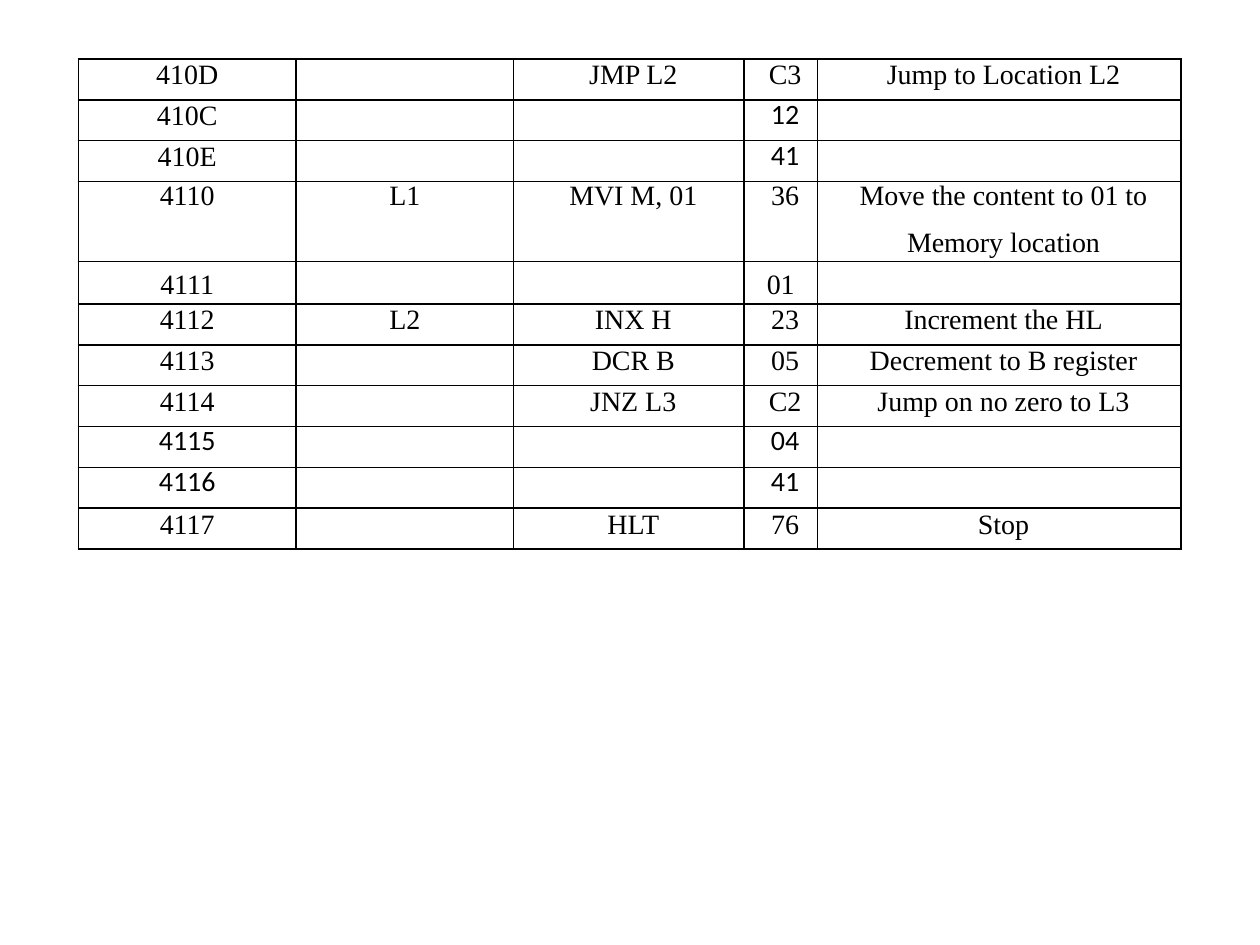
from lxml import etree
from pptx import Presentation
from pptx import util as u
from pptx.dml.color import RGBColor
from pptx.enum import text
from pptx.oxml import ns

SERIF, SANS = "Times New Roman", "Calibri"
INK = "000000"
LEFT, TOP = 44.75, 33.75
COLUMN_WIDTHS = [124.4, 124.4, 131.7, 41.8, 207.9]
ROW_HEIGHT, INDENT = 23.35, 5
INSTRUCTIONS = [
    ("410D", "", "JMP L2", "C3", "Jump to Location L2"),
    ("410C", "", "", "12", ""),
    ("410E", "", "", "41", ""),
    ("4110", "L1", "MVI M, 01", "36", "Move the content to 01 to"),
    ("", "", "", "", "Memory location"),
    ("4111", "", "", "01", ""),
    ("4112", "L2", "INX H", "23", "Increment the HL"),
    ("4113", "", "DCR B", "05", "Decrement to B register"),
    ("4114", "", "JNZ L3", "C2", "Jump on no zero to L3"),
    ("4115", "", "", "04", ""),
    ("4116", "", "", "41", ""),
    ("4117", "", "HLT", "76", "Stop"),
]
SPLIT_ROW, PLAIN_ROW = 3, 5
SPECIAL_HEIGHTS = {3: 21.6, 4: 24.2, 5: 24.2}
LINE_SPACINGS = {3: u.Pt(12.3), 4: 1.15, 5: 1.15, 6: u.Pt(13.3), 11: u.Pt(13.3)}
SANS_CELLS = {(1, 3), (2, 3), (9, 0), (9, 3), (10, 0), (10, 3)}
CELL_FORMAT = {
    "margin_left": 0, "margin_right": 0, "margin_top": 0, "margin_bottom": 0,
    "vertical_anchor": text.MSO_ANCHOR.MIDDLE,
}


def set_attributes(target, values):
    """Set every named value on the target."""
    for name, value in values.items():
        setattr(target, name, value)


def colour(code):
    """Turn a hex string into a colour."""
    return RGBColor.from_string(code)


def add_borders(cell, hidden):
    """Give a cell one-point borders, leaving out the hidden side."""
    properties = cell._tc.get_or_add_tcPr()
    for position, side in enumerate("LRTB"):
        line = etree.Element(ns.qn(f"a:ln{side}"), w=str(u.Pt(1)))
        if side == hidden:
            etree.SubElement(line, ns.qn("a:noFill"))
        else:
            fill = etree.SubElement(line, ns.qn("a:solidFill"))
            etree.SubElement(fill, ns.qn("a:srgbClr"), val=INK)
        properties.insert(position, line)


def fill_cell(cell, row, column, words):
    """Write and format one cell of the listing."""
    set_attributes(cell, CELL_FORMAT)
    cell.fill.background()
    add_borders(cell, {SPLIT_ROW: "B", SPLIT_ROW + 1: "T"}.get(row))
    para = cell.text_frame.paragraphs[0]
    set_attributes(para, {
        "alignment": text.PP_ALIGN.CENTER,
        "line_spacing": LINE_SPACINGS.get(row, u.Pt(13.2)),
    })
    if column >= 2 and row != PLAIN_ROW:
        para._p.get_or_add_pPr().set("marL", str(u.Pt(INDENT)))
    if words:
        span = para.add_run()
        span.text = words
        font = SANS if (row, column) in SANS_CELLS else SERIF
        set_attributes(span.font, {"name": font, "size": u.Pt(16)})
        span.font.color.rgb = colour(INK)


def main():
    """Build the instruction listing slide."""
    deck = Presentation()
    set_attributes(deck, {"slide_width": u.Pt(720), "slide_height": u.Pt(540)})
    page = deck.slides.add_slide(deck.slide_layouts[6])
    heights = [SPECIAL_HEIGHTS.get(row, ROW_HEIGHT) for row in range(len(INSTRUCTIONS))]
    frame = page.shapes.add_table(
        len(heights), len(COLUMN_WIDTHS), u.Pt(LEFT), u.Pt(TOP),
        u.Pt(sum(COLUMN_WIDTHS)), u.Pt(sum(heights)))
    table = frame.table
    set_attributes(table, {"first_row": False, "horz_banding": False})
    for column, width in zip(table.columns, COLUMN_WIDTHS):
        column.width = u.Pt(width)
    for row, (height, entries) in enumerate(zip(heights, INSTRUCTIONS)):
        table.rows[row].height = u.Pt(height)
        for column, words in enumerate(entries):
            fill_cell(table.cell(row, column), row, column, words)
    deck.save("out.pptx")


if __name__ == "__main__":
    main()
